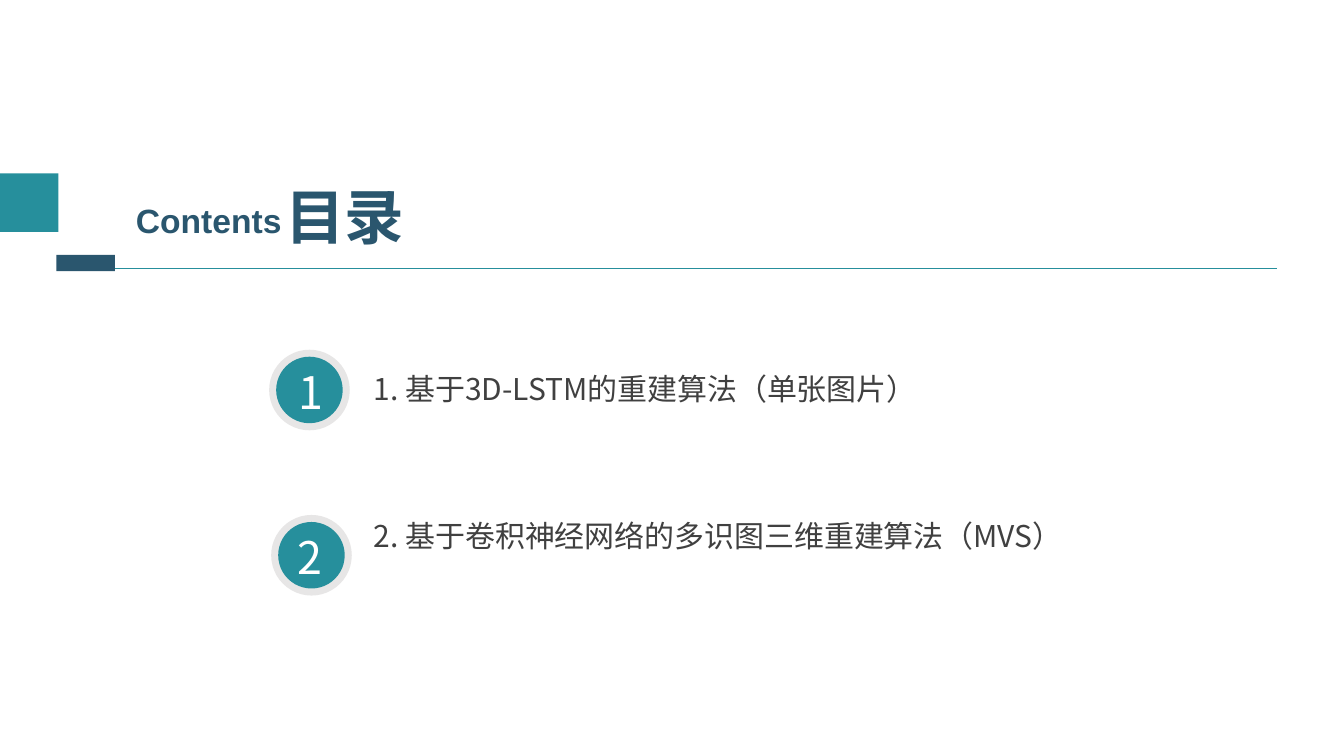
from dataclasses import dataclass

from lxml import etree
from pptx import Presentation
from pptx import util as u
from pptx.dml.color import RGBColor
from pptx.enum import shapes, text
from pptx.oxml.ns import qn

CELL = 13.33 / 40  # square grid: 40 columns by 22.5 rows
TEAL, NAVY, GREY, INK, WHITE = "268F9C", "2A566E", "E7E6E6", "404040", "FFFFFF"
CJK = "Noto Sans CJK SC"
RING, DISC = 2.4, 1.98


@dataclass(frozen=True)
class Box:
    left: float
    top: float
    width: float
    height: float

    def emu(self) -> list[int]:
        return [grid(n) for n in (self.left, self.top, self.width, self.height)]


@dataclass(frozen=True)
class Style:
    size: float
    colour: str
    name: str = CJK
    bold: bool = False


@dataclass(frozen=True)
class Chapter:
    number: str
    label: str
    ring_left: float
    ring_top: float
    number_left: float
    label_box: Box


HEADING = Style(42.6, NAVY, bold=True)
SUBHEADING = Style(24, NAVY, "Arial", True)
NUMBER = Style(32, WHITE)
LABEL = Style(21.4, INK)

CHAPTERS = [
    Chapter("1", "1. 基于3D-LSTM的重建算法（单张图片）",
            8.01, 10.41, 8.58, Box(10.83, 10.89, 18.03, 1.38)),
    Chapter("2", "2. 基于卷积神经网络的多识图三维重建算法（MVS）",
            8.07, 15.33, 8.55, Box(10.83, 15.27, 24.27, 1.38)),
]


def grid(cells: float) -> int:
    return u.Inches(cells * CELL)


def rgb(colour: str) -> RGBColor:
    return RGBColor.from_string(colour)


def write(holder, words: str, style: Style) -> None:
    frame = holder.text_frame
    frame_format = {
        "word_wrap": True,
        "auto_size": text.MSO_AUTO_SIZE.NONE,
        "vertical_anchor": text.MSO_ANCHOR.TOP,
    }
    for key, value in frame_format.items():
        setattr(frame, key, value)
    paragraph = frame.paragraphs[0]
    paragraph.alignment = text.PP_ALIGN.LEFT
    run = paragraph.add_run()
    run.text = words
    font_format = {"size": u.Pt(style.size), "bold": style.bold, "name": style.name}
    for key, value in font_format.items():
        setattr(run.font, key, value)
    run.font.color.rgb = rgb(style.colour)
    latin = run.font._element.find(qn("a:latin"))
    east_asian = etree.Element(qn("a:ea"), typeface=style.name)
    latin.addnext(east_asian)


def add_words(slide, box: Box, words: str, style: Style) -> None:
    write(slide.shapes.add_textbox(*box.emu()), words, style)


def add_block(slide, kind: shapes.MSO_SHAPE, box: Box, colour: str) -> None:
    block = slide.shapes.add_shape(kind, *box.emu())
    block.shadow.inherit = False
    block.fill.solid()
    block.fill.fore_color.rgb = rgb(colour)
    block.line.fill.background()


def add_rule(slide, left: float, right: float, top: float) -> None:
    rule = slide.shapes.add_connector(
        shapes.MSO_CONNECTOR.STRAIGHT, grid(left), grid(top), grid(right), grid(top))
    rule.line.color.rgb = rgb(TEAL)
    rule.line.width = u.Pt(0.75)
    etree.SubElement(rule._element.spPr, qn("a:effectLst"))


def add_heading(slide) -> None:
    title = slide.shapes.title
    place = dict(zip(("left", "top", "width", "height"), Box(8.19, 5.19, 5.13, 2.46).emu()))
    for key, value in place.items():
        setattr(title, key, value)
    write(title, "目录", HEADING)
    add_words(slide, Box(3.75, 5.79, 6.18, 1.5), "Contents", SUBHEADING)


def add_chapter(slide, chapter: Chapter) -> None:
    """Draw a ringed number with its label to the right."""
    inset = (RING - DISC) / 2
    for offset, size, colour in ((0, RING, GREY), (inset, DISC, TEAL)):
        circle = Box(chapter.ring_left + offset, chapter.ring_top + offset, size, size)
        add_block(slide, shapes.MSO_SHAPE.OVAL, circle, colour)
    number_box = Box(chapter.number_left, chapter.ring_top + 0.3, 1.44, 1.92)
    add_words(slide, number_box, chapter.number, NUMBER)
    add_words(slide, chapter.label_box, chapter.label, LABEL)


def main() -> None:
    deck = Presentation()
    deck.slide_width, deck.slide_height = grid(40), u.Inches(7.5)
    slide = deck.slides.add_slide(deck.slide_layouts[5])
    add_rule(slide, 1.77, 38.01, 7.98)
    add_heading(slide)
    add_block(slide, shapes.MSO_SHAPE.RECTANGLE, Box(0, 5.16, 1.74, 1.74), TEAL)
    for chapter in CHAPTERS:
        add_chapter(slide, chapter)
    add_block(slide, shapes.MSO_SHAPE.RECTANGLE, Box(1.68, 7.59, 1.74, 0.48), NAVY)
    deck.save("out.pptx")


if __name__ == "__main__":
    main()
